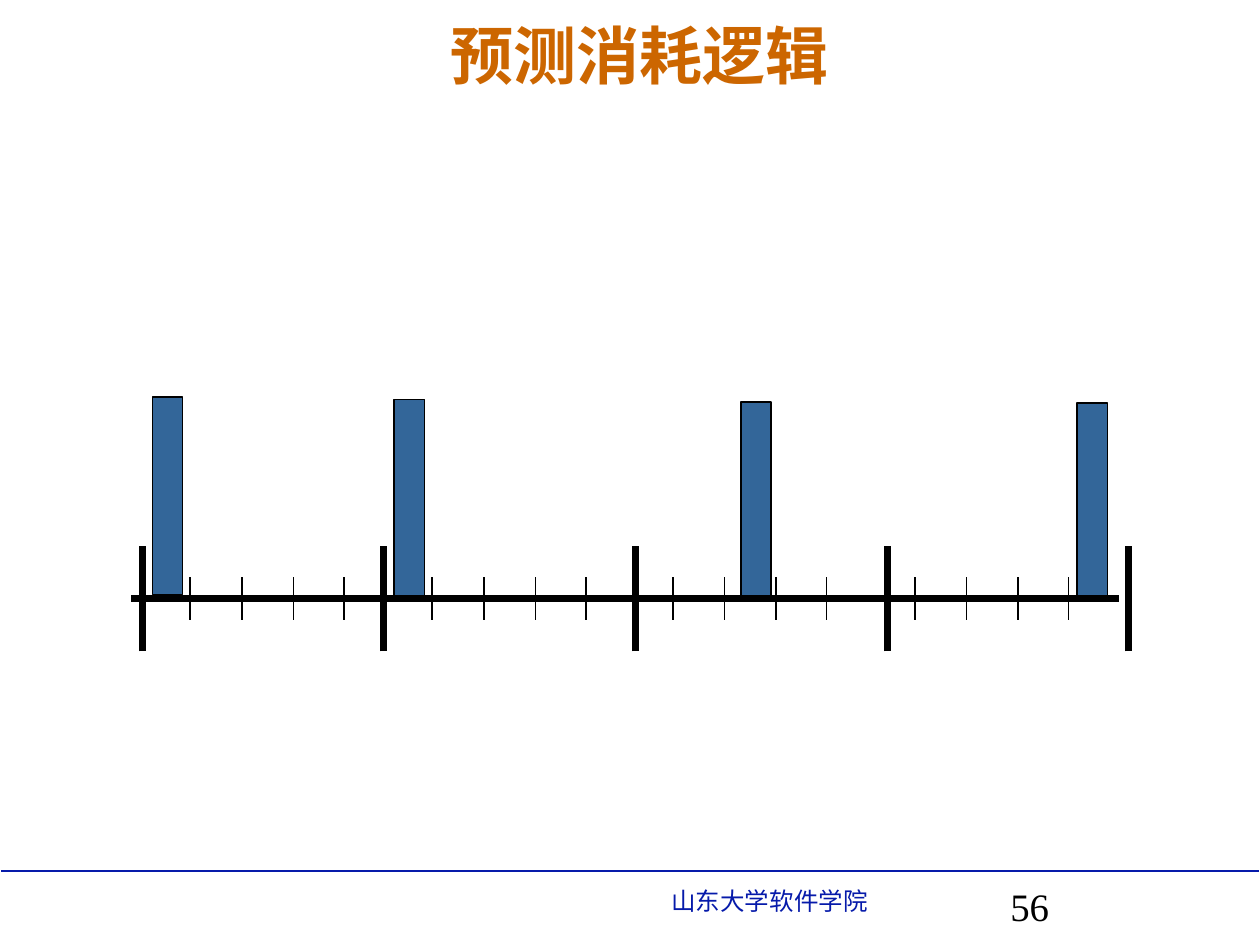
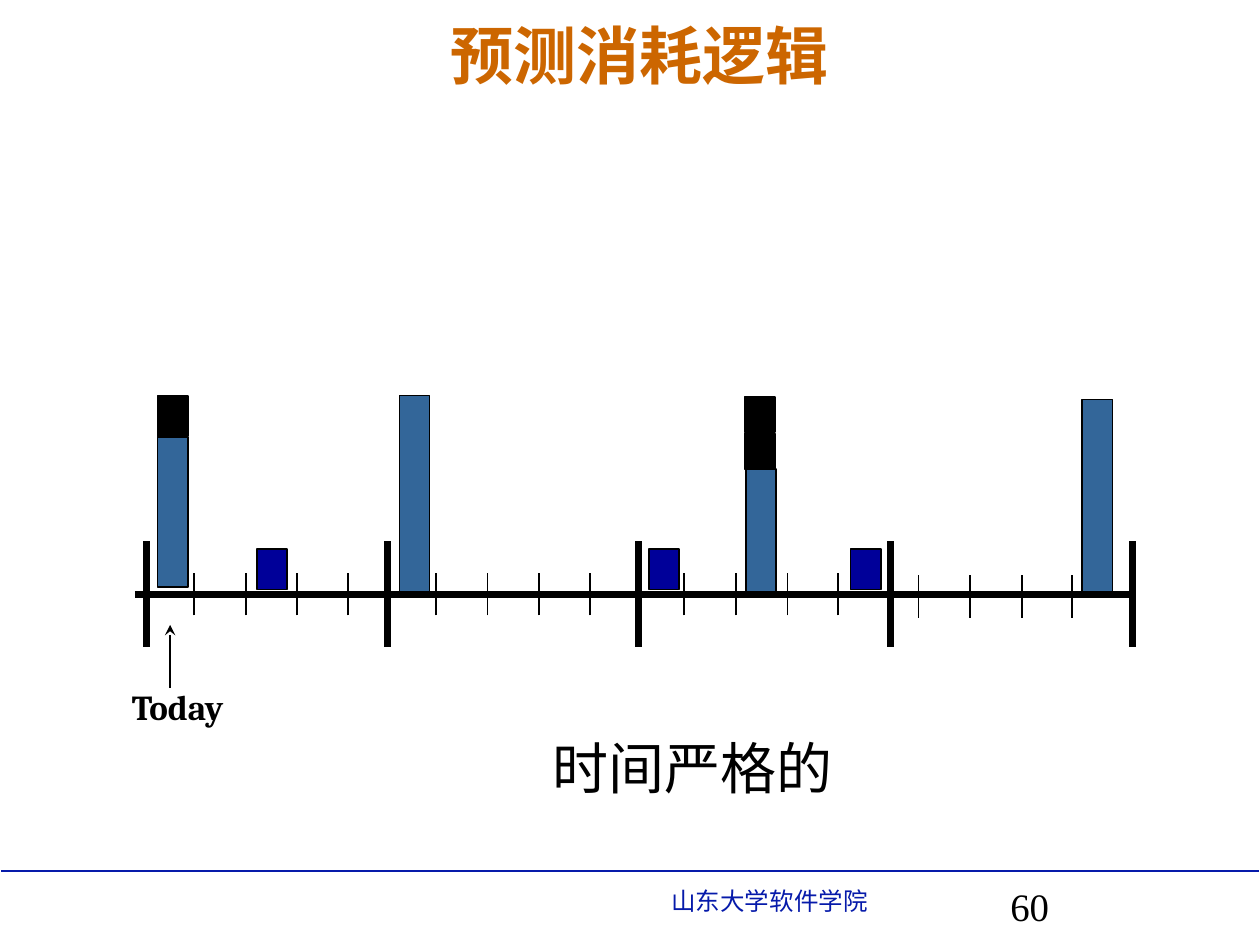
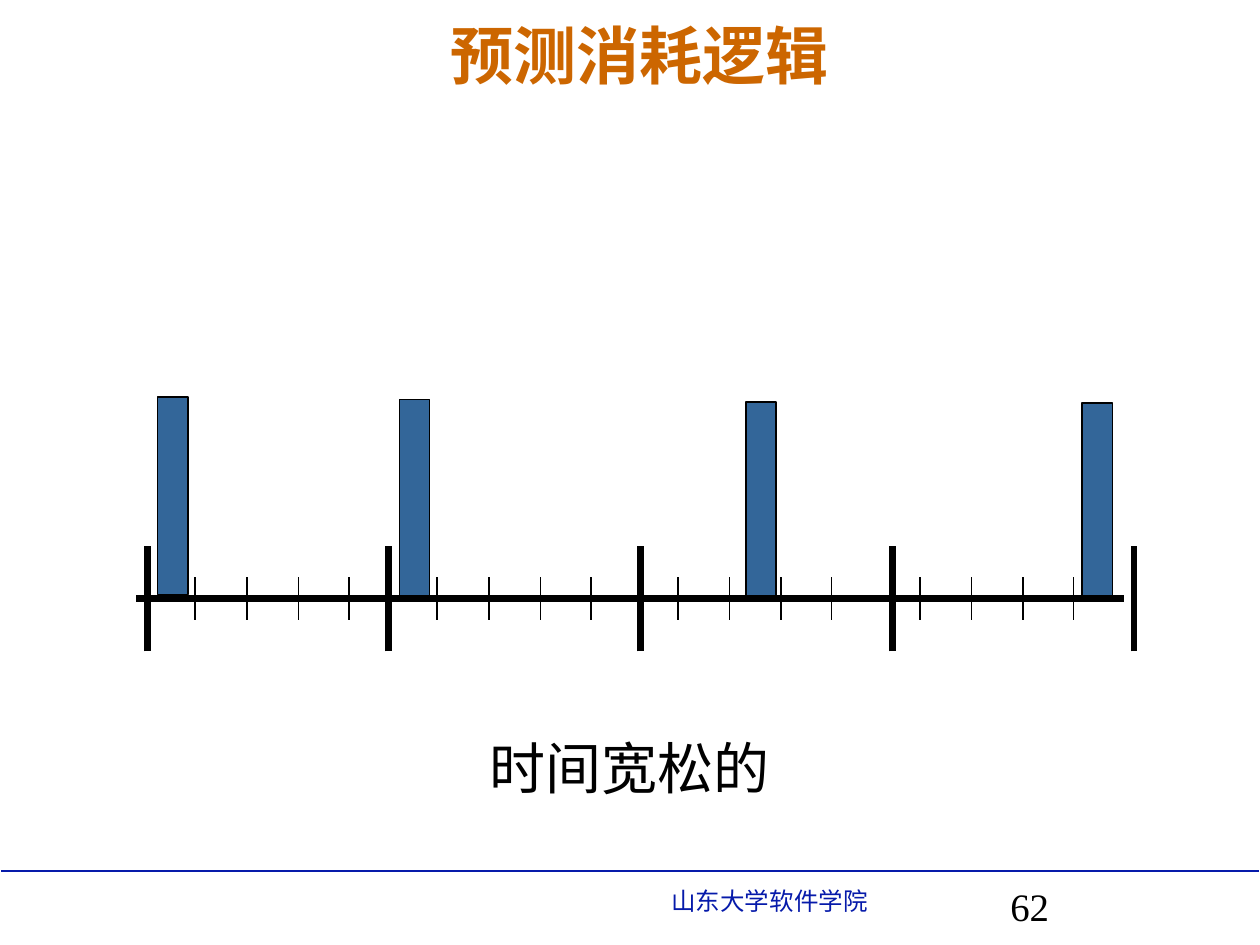
from pptx import Presentation
from pptx.dml.color import RGBColor
from pptx.enum.shapes import MSO_CONNECTOR, MSO_SHAPE
from pptx.enum.text import MSO_ANCHOR, PP_ALIGN
from pptx.oxml.ns import qn
from pptx.util import Inches, Pt
from lxml.etree import SubElement

BLACK = RGBColor(0, 0, 0)
NAVY = RGBColor(0x06, 0x1A, 0xAA)
RUST = RGBColor(0xCC, 0x66, 0x00)
STEEL = RGBColor(0x33, 0x66, 0x99)
DEEP = RGBColor(0, 0, 0x99)
SERIF, SANS = "Times New Roman", "Arial"

# Content: bars are (offset from first mark, top, height, colour)
TITLE = "预测消耗逻辑"
SCHOOL = "山东大学软件学院"
FULL = [(0.08, 3.15, 1.57, STEEL), (2, 3.17, 1.57, STEEL),
        (4.75, 3.19, 1.55, STEEL), (7.42, 3.2, 1.54, STEEL)]
SPENT = [(0.09, 3.47, 1.19, STEEL), (2.01, 3.14, 1.57, STEEL),
         (4.76, 3.72, 0.98, STEEL), (7.43, 3.17, 1.54, STEEL),
         (0.09, 3.14, 0.32, BLACK), (4.75, 3.15, 0.28, BLACK),
         (4.75, 3.44, 0.28, BLACK), (0.88, 4.36, 0.32, DEEP),
         (3.99, 4.36, 0.32, DEEP), (5.59, 4.36, 0.32, DEEP)]
SLIDES = [
    dict(page="56", left=1.13, axis=4.75, reach=7.75, bars=FULL),
    dict(page="60", left=1.16, axis=4.715, reach=7.83, bars=SPENT,
         third=4.27, drop=0.02, today="Today",
         note=("时间严格的", 1.33, SERIF)),
    dict(page="62", left=1.17, axis=4.75, reach=7.75, bars=FULL,
         note=("时间宽松的", 0.83, SANS)),
]

# Time scale, as offsets from the first mark
WEEKS = [0, 1.915, 3.91, 5.91, 7.83]
DAYS = [0, 0.41, 0.82, 1.22]
BAR = 0.24

deck = Presentation()
deck.slide_width, deck.slide_height = Inches(10), Inches(7.5)


def write(page, text, x, y, w, h, size, font=SERIF, color=BLACK, bold=False,
          align=PP_ALIGN.LEFT, anchor=MSO_ANCHOR.TOP, wrap=True, pitch=None):
    box = page.shapes.add_textbox(Inches(x), Inches(y), Inches(w), Inches(h))
    frame = box.text_frame
    frame.word_wrap, frame.vertical_anchor = wrap, anchor
    par = frame.paragraphs[0]
    par.alignment, par.line_spacing = align, pitch
    run = par.add_run()
    run.text = text
    run.font.size, run.font.name, run.font.bold = Pt(size), font, bold
    run.font.color.rgb = color


def rule(page, x1, y1, x2, y2, width=1, color=BLACK, arrow=False):
    line = page.shapes.add_connector(
        MSO_CONNECTOR.STRAIGHT, *map(Inches, (x1, y1, x2, y2)))
    line.line.width, line.line.color.rgb = Pt(width), color
    props = line._element.spPr
    if arrow:
        SubElement(props.find(qn("a:ln")), qn("a:tailEnd"), type="stealth")
    SubElement(props, qn("a:effectLst"))


def bar(page, x, y, h, color):
    rect = page.shapes.add_shape(
        MSO_SHAPE.RECTANGLE, *map(Inches, (x, y, BAR, h)))
    rect.shadow.inherit = False
    rect.fill.solid()
    rect.fill.fore_color.rgb = color
    rect.line.color.rgb, rect.line.width = BLACK, Pt(1)


def mark(page, x, y, half, width):
    rule(page, x, y + half, x, y - half, width)


def frame(number):
    """Add a slide with the shared title and footer."""
    page = deck.slides.add_slide(deck.slide_layouts[6])
    rule(page, 0.01, 6.91, 9.99, 6.91, color=NAVY)
    write(page, SCHOOL, 5.23, 6.98, 4.33, 0.34, 14, SANS, NAVY)
    write(page, TITLE, 0.4, 0.13, 9.35, 0.6, 36, color=RUST, bold=True,
          align=PP_ALIGN.CENTER, anchor=MSO_ANCHOR.MIDDLE)
    write(page, number, 7.92, 7, 2.08, 0.5, 22.2, pitch=0.9)
    return page


def scale(page, left, axis, reach, bars, third=4.21, drop=0):
    """Draw the bars, then the week and day marks and the axis."""
    for x, top, height, color in bars:
        bar(page, left + x, top, height, color)
    for week in WEEKS:
        mark(page, left + week, axis, 0.42, 4)
    for start, shift in ((0.38, 0), (2.3, 0), (third, 0), (6.13, drop)):
        for day in DAYS:
            mark(page, left + start + day, axis + shift, 0.17, 1)
    rule(page, left - 0.09, axis, left + reach, axis, 4)


for item in SLIDES:
    item = dict(item)
    page = frame(item.pop("page"))
    note, today = item.pop("note", None), item.pop("today", None)
    scale(page, **item)
    if today:
        rule(page, 1.35, 5.46, 1.35, 4.96, arrow=True)
        write(page, today, 0.86, 5.39, 1.1, 0.43, 20, "Cambria", bold=True,
              align=PP_ALIGN.CENTER, wrap=False)
    if note:
        text, x, font = note
        write(page, text, x, 5.77, 8.33, 0.63, 32, font,
              align=PP_ALIGN.CENTER)

deck.save("out.pptx")
